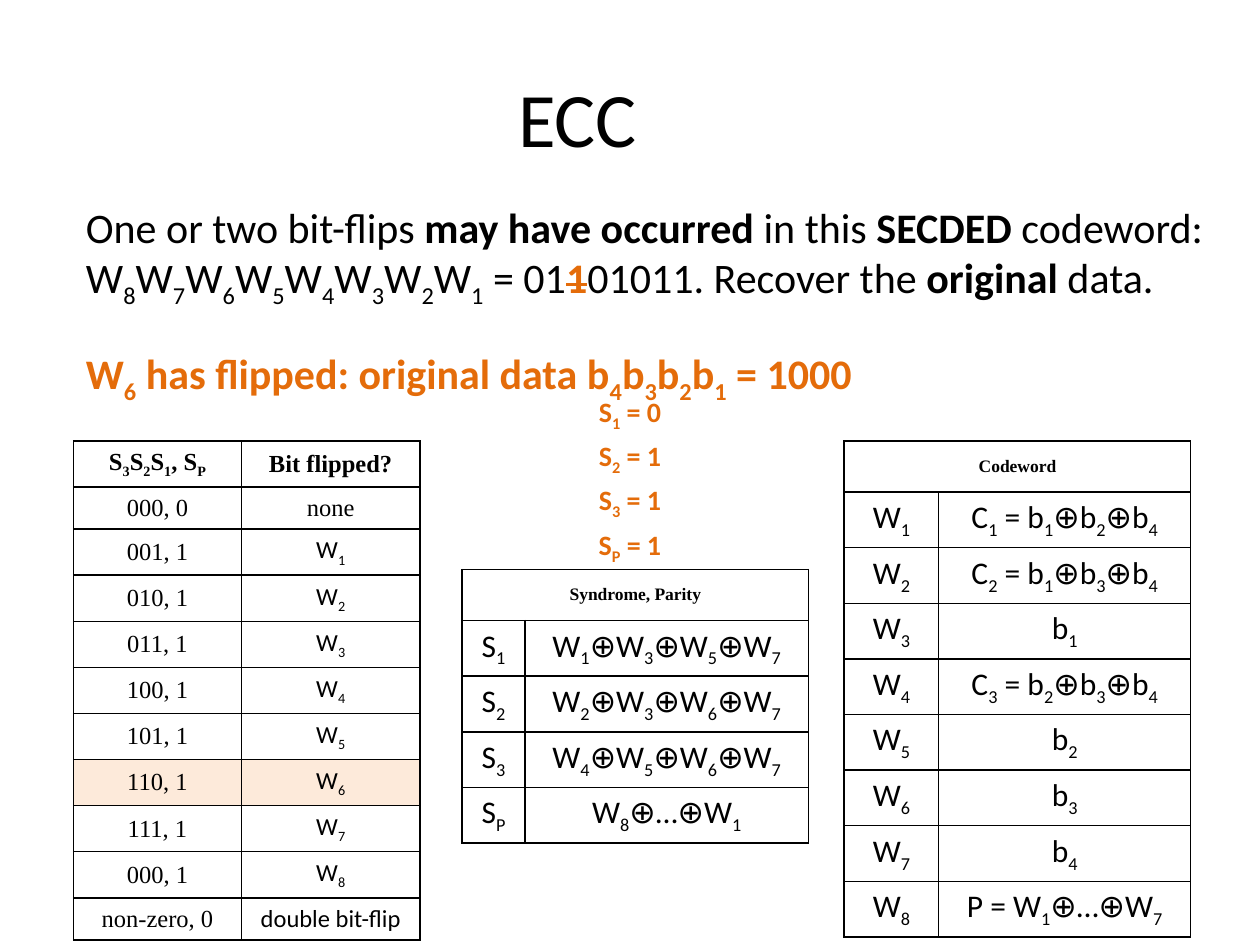
from lxml.etree import SubElement as Sub
from pptx import Presentation as Deck
from pptx.dml.color import RGBColor as Rgb
from pptx.enum.text import MSO_ANCHOR as Anchor, PP_ALIGN as Align
from pptx.oxml.ns import qn
from pptx.util import Inches, Pt

BLACK = Rgb(0, 0, 0)
WHITE = Rgb(255, 255, 255)
ORANGE = Rgb(0xE4, 0x6C, 0x0A)
PEACH = Rgb(0xFD, 0xEA, 0xDA)
SANS, SERIF = "Calibri", "Times New Roman"

FLIPS = [("S_3S_2S_1, S_P", "Bit flipped?"), ("000, 0", "none")]
FLIPS += [(f"{bits}, 1", f"W_{n}") for n, bits in enumerate(
    ["001", "010", "011", "100", "101", "110", "111", "000"], 1)]
FLIPS += [("non-zero, 0", "double bit-flip")]
CHECKS = [("Syndrome, Parity", ""),
          ("S_1", "W_1⊕W_3⊕W_5⊕W_7"), ("S_2", "W_2⊕W_3⊕W_6⊕W_7"),
          ("S_3", "W_4⊕W_5⊕W_6⊕W_7"), ("S_P", "W_8⊕…⊕W_1")]
WORDS = ["C_1 = b_1⊕b_2⊕b_4", "C_2 = b_1⊕b_3⊕b_4", "b_1", "C_3 = b_2⊕b_3⊕b_4",
         "b_2", "b_3", "b_4", "P = W_1⊕…⊕W_7"]
CODE = [("Codeword", "")] + [(f"W_{n}", word) for n, word in enumerate(WORDS, 1)]
TASK = ("One or two bit-flips *may have occurred *in this *SECDED* codeword: "
        "W_8W_7W_6W_5W_4W_3W_2W_1 = 01~1~01011. Recover the *original* data.")
ANSWER = "*W_6 has flipped: original data b_4b_3b_2b_1 = 1000*"


def grid(n):
    """Return a length of n grid units, twelve to the inch."""
    return Inches(n / 12)


def put(para, text, size, face, color, bold=False, struck=False):
    """Add one piece of text, lowering each letter that follows an underscore."""
    first, *rest = text.split("_")
    parts = [(first, False)]
    for part in rest:
        parts += [(part[0], True), (part[1:], False)]
    for words, low in parts:
        if words:
            run = para.add_run()
            run.text = words
            font = run.font
            font.size, font.name, font.bold = Pt(size), face, bold
            font.color.rgb = color
            props = font._element
            if low:
                props.set("baseline", "-25000")
            if struck:
                props.set("strike", "sngStrike")


def write(para, text, size, face=SANS, color=BLACK, align=Align.CENTER):
    """Fill a paragraph from marked text: *bold*, ~struck~ and _ for subscript."""
    para.alignment = align
    for i, strong in enumerate(text.split("*")):
        for j, piece in enumerate(strong.split("~")):
            struck = j % 2 == 1
            put(para, piece, size, face, ORANGE if struck else color,
                i % 2 == 1 or struck, struck)


def add_text(slide, box, lines, size, gap=0, anchor=Anchor.TOP, **look):
    """Add a text box with one paragraph for each line."""
    frame = slide.shapes.add_textbox(*map(grid, box)).text_frame
    frame.word_wrap, frame.vertical_anchor = True, anchor
    for i, line in enumerate(lines):
        para = frame.paragraphs[0]
        if i:
            para = frame.add_paragraph()
            para.space_before = Pt(gap)
        write(para, line, size, **look)
    return frame


def edge(cell):
    """Draw thin black borders around a cell and fill it white."""
    props = cell._tc.get_or_add_tcPr()
    for side in ("lnL", "lnR", "lnT", "lnB"):
        line = Sub(props, qn(f"a:{side}"), w=str(Pt(1)))
        Sub(Sub(line, qn("a:solidFill")), qn("a:srgbClr"), val=str(BLACK))
    cell.fill.solid()
    cell.fill.fore_color.rgb = WHITE


def add_grid(slide, left, top, widths, tall, rows, style):
    """Add a bordered table whose text look comes from style(row, text)."""
    shape = slide.shapes.add_table(len(rows), len(widths), grid(left), grid(top),
                                   grid(sum(widths)), grid(tall * len(rows)))
    table = shape.table
    table.first_row = table.horz_banding = False
    for col, width in zip(table.columns, widths):
        col.width = grid(width)
    for r, row in enumerate(rows):
        for c, text in enumerate(row):
            cell = table.cell(r, c)
            cell.vertical_anchor = Anchor.MIDDLE
            edge(cell)
            if text:
                size, face = style(r, text)
                write(cell.text_frame.paragraphs[0],
                      text if r else f"*{text}*", size, face)
        if not row[-1]:
            table.cell(r, 0).merge(table.cell(r, len(row) - 1))
    return table


def flip_look(row, text):
    """Return size and face for the bit-flip table."""
    return 14, SANS if row and text[0] in "Wd" else SERIF


def rule_look(row, text):
    """Return size and face for the two rule tables."""
    return (18, SANS) if row else (10, SERIF)


def main():
    """Build the slide and save it."""
    deck = Deck()
    deck.slide_width, deck.slide_height = Inches(10), Inches(7.5)
    slide = deck.slides.add_slide(deck.slide_layouts[6])
    add_text(slide, (6, 3.6, 98, 15), ["ECC"], 44, anchor=Anchor.MIDDLE)
    body = add_text(slide, (7, 18.6, 111, 22.4), [TASK, ANSWER], 24, 22,
                    align=Align.LEFT)
    for run in body.paragraphs[1].runs:
        run.font.color.rgb = ORANGE
    flips = add_grid(slide, 7, 42, (16, 17), 2.4, FLIPS, flip_look)
    for cell in flips.rows[7].cells:
        cell.fill.fore_color.rgb = PEACH
    add_grid(slide, 44, 54.24, (6, 27), 4.87, CHECKS, rule_look)
    add_grid(slide, 80.4, 42, (9, 24), 4.87, CODE, rule_look)
    signs = [f"*S_{name} = {bit}*" for name, bit in zip("123P", "0111")]
    add_text(slide, (54, 37, 12, 16.3), signs, 16, 3.4, color=ORANGE)
    deck.save("out.pptx")


if __name__ == "__main__":
    main()
